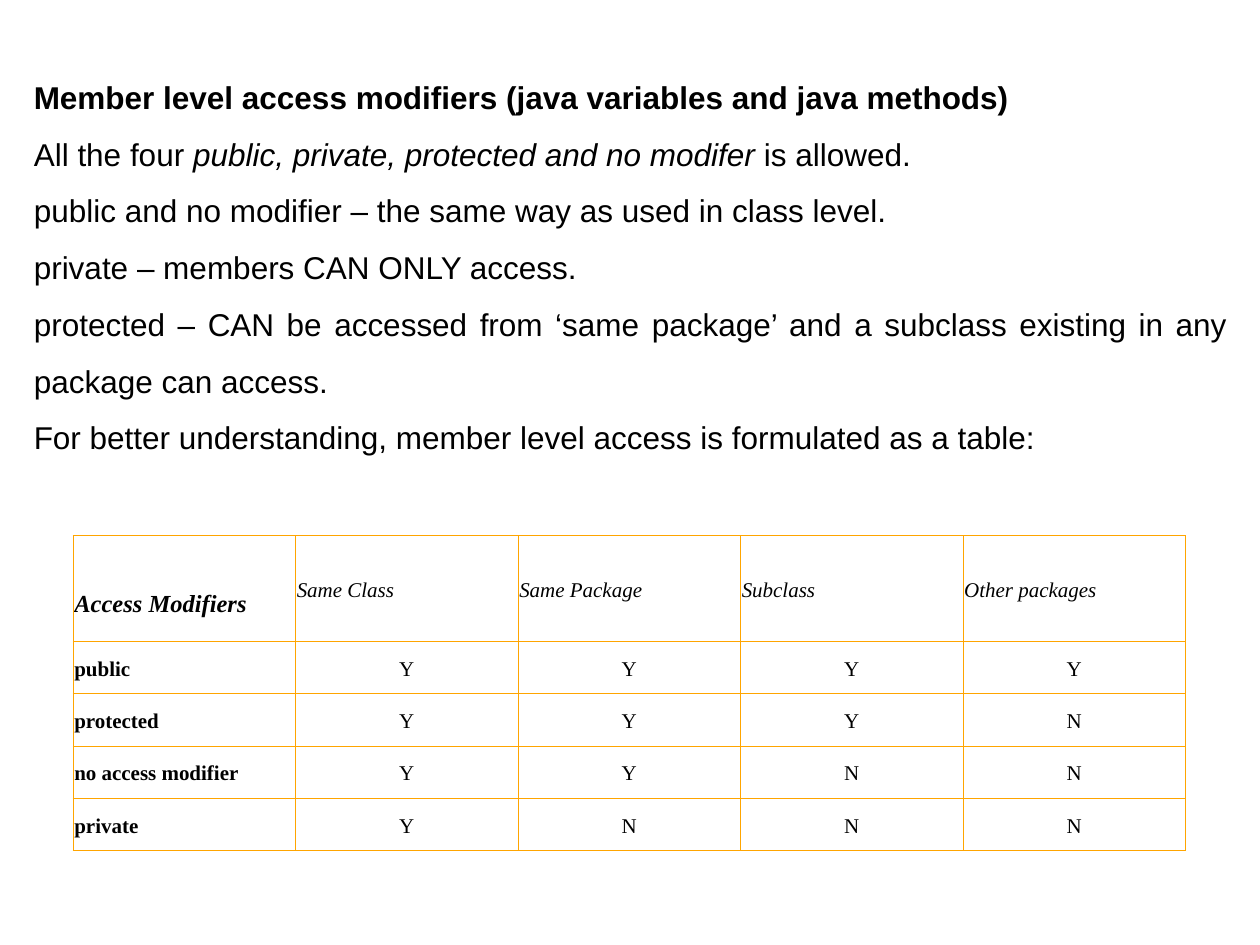
from lxml.etree import SubElement
from pptx import Presentation
from pptx.dml.color import RGBColor
from pptx.enum.text import MSO_ANCHOR, PP_ALIGN
from pptx.oxml.ns import qn
from pptx.util import Inches, Pt

COLORS = {"text": "000000", "border": "FFA500"}


def write(para, text, font="Arial", size=18, bold=False, italic=False,
          align=PP_ALIGN.LEFT, spacing=1.0):
    para.alignment = align
    para.line_spacing = spacing
    span = para.add_run()
    span.text = text
    span.font.name = font
    span.font.size = Pt(size)
    span.font.bold = bold
    span.font.italic = italic
    span.font.color.rgb = RGBColor.from_string(COLORS["text"])


def add_borders(cell):
    properties = cell._tc.get_or_add_tcPr()
    for position, side in enumerate(("lnL", "lnR", "lnT", "lnB")):
        line = SubElement(properties, qn(f"a:{side}"), w=str(Pt(0.45)))
        fill = SubElement(line, qn("a:solidFill"))
        SubElement(fill, qn("a:srgbClr"), val=COLORS["border"])
        properties.insert(position, line)


deck = Presentation()
deck.slide_width, deck.slide_height = Inches(10), Inches(7.5)
page = deck.slides.add_slide(deck.slide_layouts[6])

# Access rules table
rows = [
    ["Access Modifiers", "Same Class", "Same Package", "Subclass", "Other packages"],
    ["public", "Y", "Y", "Y", "Y"],
    ["protected", "Y", "Y", "Y", "N"],
    ["no access modifier", "Y", "Y", "N", "N"],
    ["private", "Y", "N", "N", "N"],
]
table = page.shapes.add_table(len(rows), len(rows[0]), Inches(0.58), Inches(4.25),
                              Inches(8.83), Inches(2.5)).table
table.first_row = False
table.horz_banding = False
for column in table.columns:
    column.width = Inches(8.83 / len(rows[0]))
for row_index, values in enumerate(rows):
    header = row_index == 0
    table.rows[row_index].height = Inches(0.84 if header else 0.415)
    for column_index, value in enumerate(values):
        label = column_index == 0
        corner = header and label
        cell = table.cell(row_index, column_index)
        cell.margin_left = cell.margin_right = Inches(0.01)
        cell.margin_top = Inches(0.27 if corner else 0.05)
        cell.margin_bottom = Inches(0.05)
        cell.vertical_anchor = MSO_ANCHOR.MIDDLE
        cell.fill.background()
        add_borders(cell)
        write(cell.text_frame.paragraphs[0], value, font="Times New Roman",
              size=14 if corner else 12, bold=label, italic=header, spacing=1.15,
              align=PP_ALIGN.LEFT if header or label else PP_ALIGN.CENTER)

# Explanation: each paragraph is a list of (text, format) spans
paragraphs = [
    [("Member level access modifiers (java variables and java methods)", {"bold": True})],
    [("All the four ", {}),
     ("public, private, protected and no modifer", {"italic": True}),
     (" is allowed.", {})],
    [("public and no modifier – the same way as used in class level.", {})],
    [("private – members CAN ONLY access.", {})],
    [("protected – CAN be accessed from ‘same package’ and a subclass existing "
      "in any package can access.", {})],
    [("For better understanding, member level access is formulated as a table:", {})],
]
box = page.shapes.add_textbox(Inches(0.17), Inches(0.42), Inches(9.67), Inches(3.25))
frame = box.text_frame
frame.word_wrap = True
for index, spans in enumerate(paragraphs):
    para = frame.add_paragraph() if index else frame.paragraphs[0]
    for text, style in spans:
        write(para, text, align=PP_ALIGN.JUSTIFY, spacing=1.5, **style)

deck.save("out.pptx")
